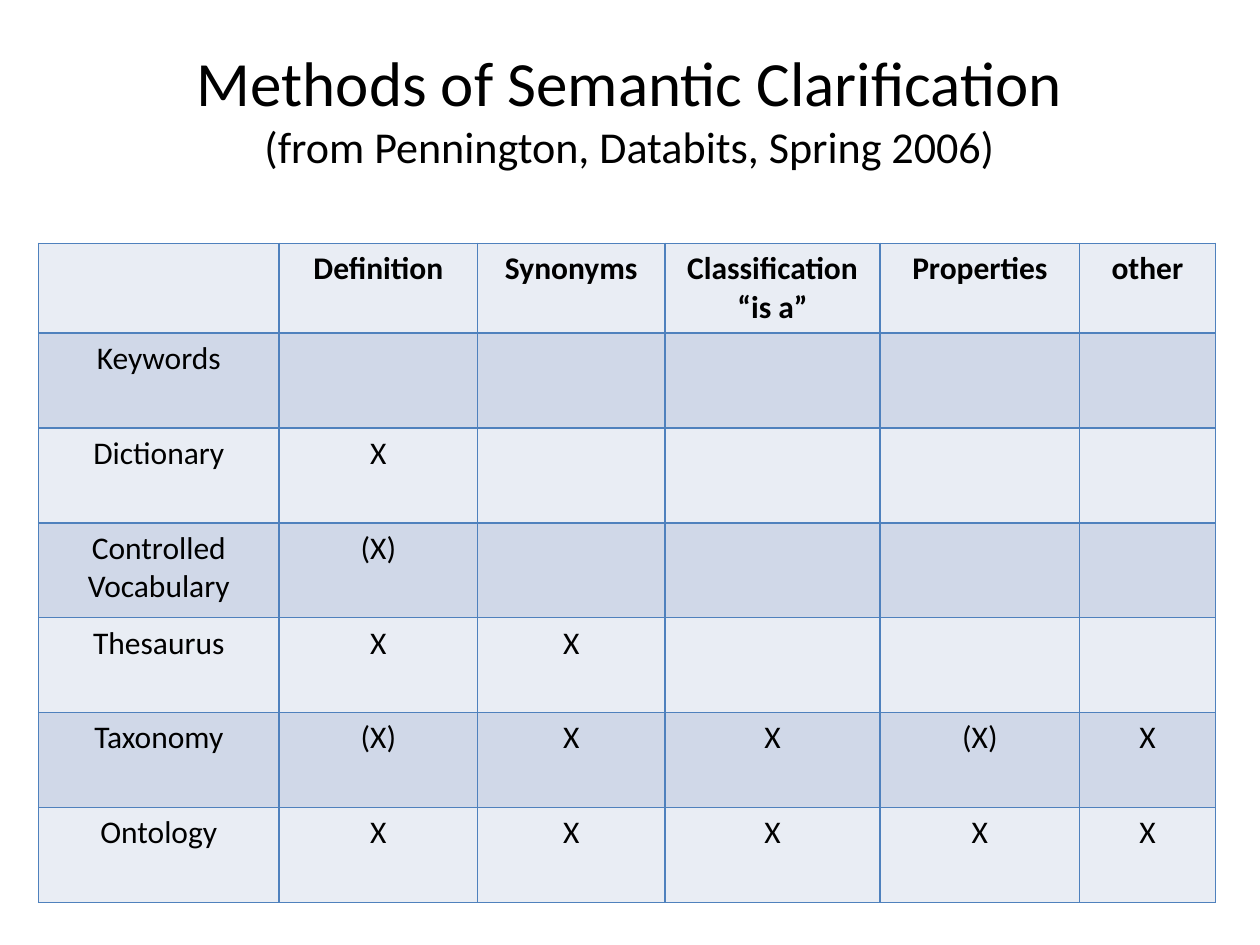
import pptx
import pptx.dml.color
import pptx.enum.text
import pptx.oxml
import pptx.oxml.ns
import pptx.util

Pt = pptx.util.Pt
RGBColor = pptx.dml.color.RGBColor
CENTER = pptx.enum.text.PP_ALIGN.CENTER

BLACK = RGBColor(0x00, 0x00, 0x00)
BORDER = RGBColor(0x4F, 0x81, 0xBD)
PALE = RGBColor(0xE9, 0xED, 0xF4)
BAND = RGBColor(0xD0, 0xD8, 0xE8)
FONT = "Calibri"

COLUMN_WIDTHS = [137.5, 113.5, 107, 123, 114, 77.5]
HEADER_HEIGHT = 51.4
METHOD_HEIGHT = 54.2
METHODS = [
    ["", "Definition", "Synonyms", "Classification\n“is a”", "Properties", "other"],
    ["Keywords", "", "", "", "", ""],
    ["Dictionary", "X", "", "", "", ""],
    ["Controlled Vocabulary", "(X)", "", "", "", ""],
    ["Thesaurus", "X", "X", "", "", ""],
    ["Taxonomy", "(X)", "X", "X", "(X)", "X"],
    ["Ontology", "X", "X", "X", "X", "X"],
]


def style_run(run, size, bold=False):
    """Set the font of one run."""
    run.font.name = FONT
    run.font.size = Pt(size)
    run.font.bold = bold
    run.font.color.rgb = BLACK


def outline_cell(cell):
    """Draw a thin border on all four sides of a cell."""
    properties = cell._tc.get_or_add_tcPr()
    for position, side in enumerate(("lnL", "lnR", "lnT", "lnB")):
        border = pptx.oxml.parse_xml(
            f'<a:{side} {pptx.oxml.ns.nsdecls("a")} w="{Pt(1)}">'
            f'<a:solidFill><a:srgbClr val="{BORDER}"/></a:solidFill></a:{side}>'
        )
        properties.insert(position, border)


def add_heading(slide, left, top, width, height):
    """Place the title with its source line below it."""
    heading = slide.shapes.add_textbox(Pt(left), Pt(top), Pt(width), Pt(height))
    frame = heading.text_frame
    frame.word_wrap = True
    frame.vertical_anchor = pptx.enum.text.MSO_ANCHOR.MIDDLE
    frame.text = "Methods of Semantic Clarification\v(from Pennington, Databits, Spring 2006)"
    frame.paragraphs[0].alignment = CENTER
    for run, size in zip(frame.paragraphs[0].runs, (36, 25.2)):
        style_run(run, size)


def add_methods_table(slide, left, top, width, height):
    """Place the table of methods, scaling its columns to the given width."""
    table = slide.shapes.add_table(
        len(METHODS), len(COLUMN_WIDTHS), Pt(left), Pt(top), Pt(width), Pt(height)
    ).table
    scale = width / sum(COLUMN_WIDTHS)
    for column, column_width in zip(table.columns, COLUMN_WIDTHS):
        column.width = Pt(column_width * scale)
    for index, method in enumerate(METHODS):
        table.rows[index].height = Pt(METHOD_HEIGHT if index else HEADER_HEIGHT)
        for cell, entry in zip(table.rows[index].cells, method):
            cell.text_frame.text = entry
            cell.fill.solid()
            cell.fill.fore_color.rgb = BAND if index % 2 else PALE
            outline_cell(cell)
            for paragraph in cell.text_frame.paragraphs:
                paragraph.alignment = CENTER
                for run in paragraph.runs:
                    style_run(run, 18, bold=index == 0)


def main():
    """Build the slide and save it."""
    deck = pptx.Presentation()
    deck.slide_width, deck.slide_height = Pt(720), Pt(540)
    slide = deck.slides.add_slide(deck.slide_layouts[6])
    add_heading(slide, 68.5, 18, 582.5, 87)
    add_methods_table(slide, 22, 139, 672.5, 376.6)
    deck.save("out.pptx")


main()
